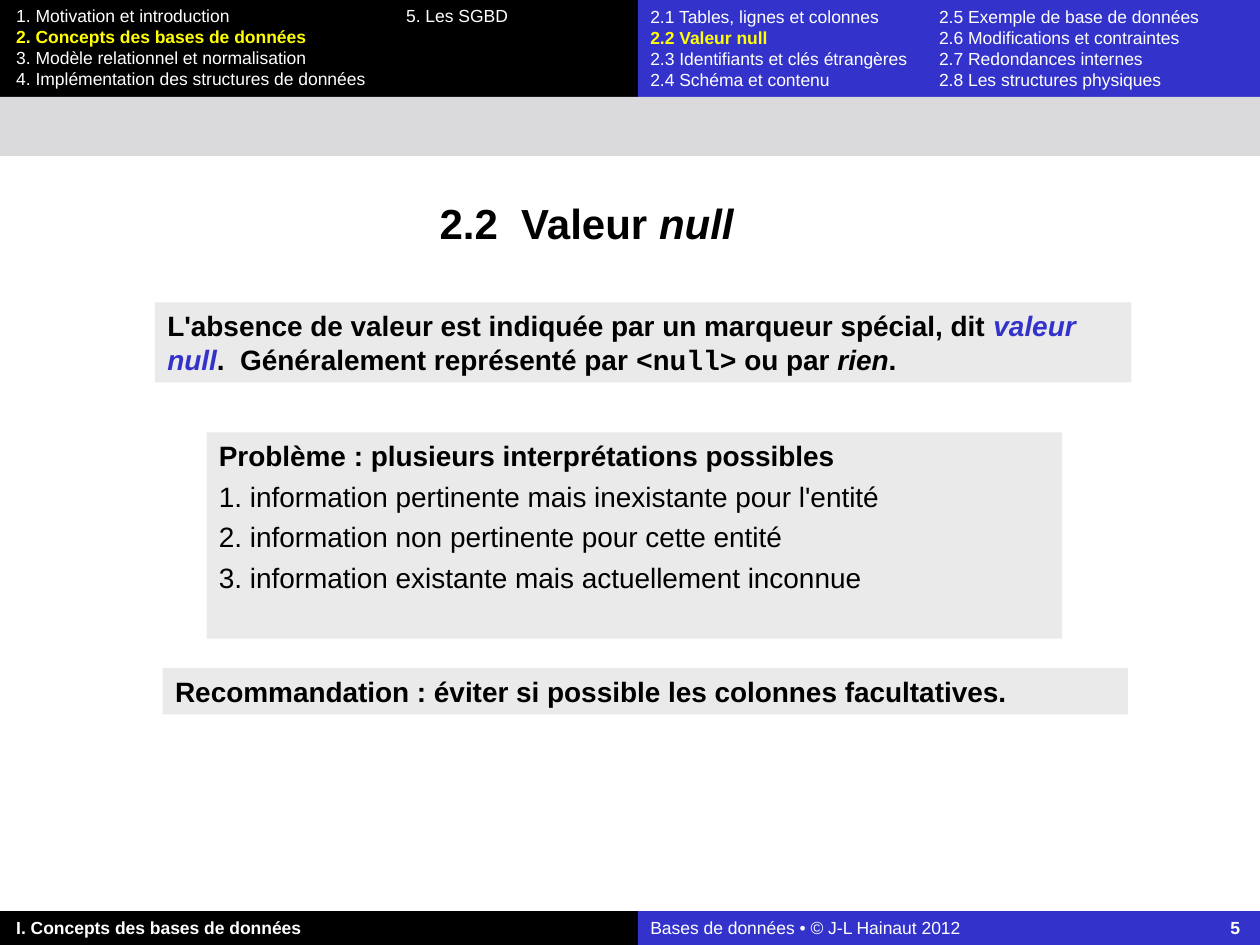
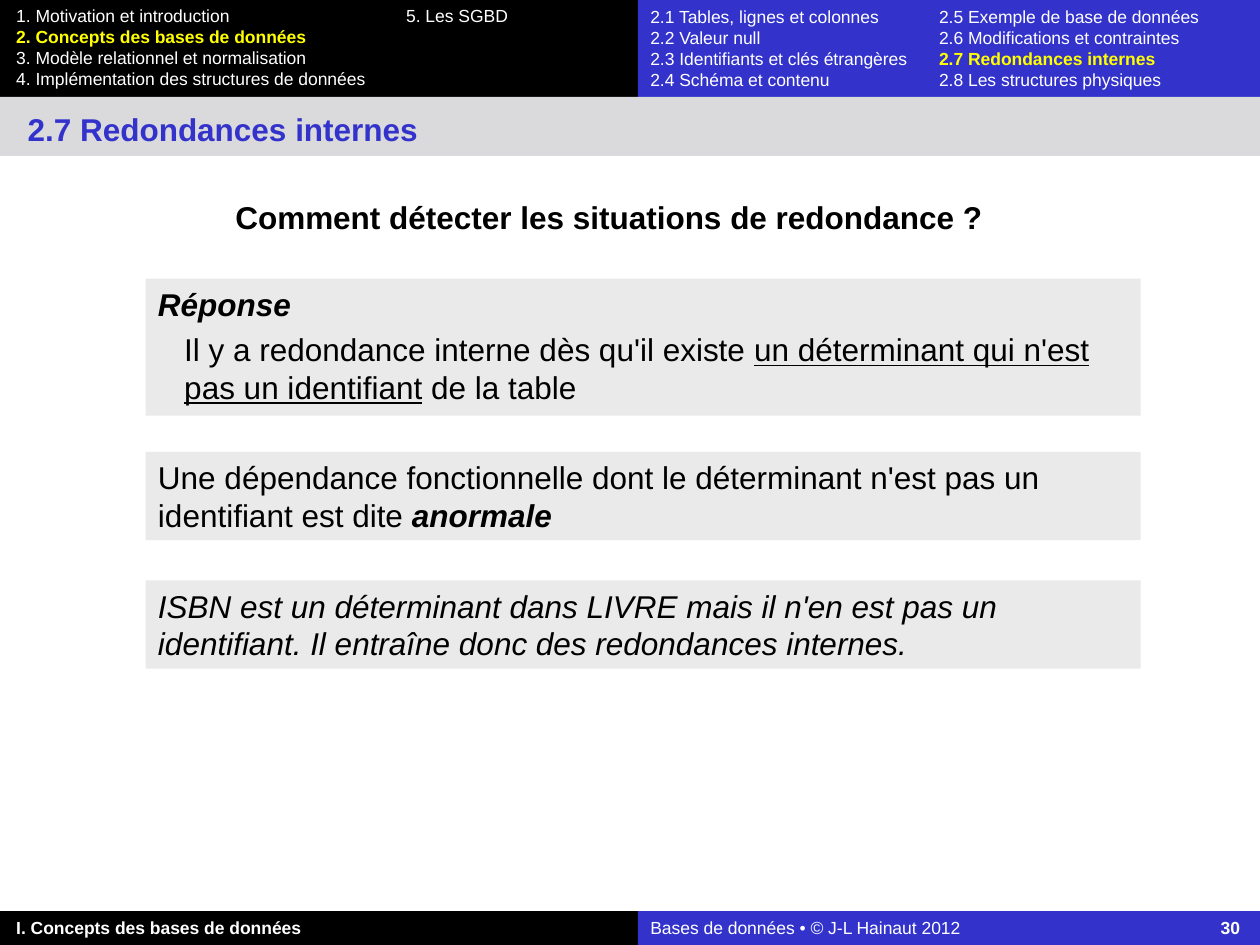
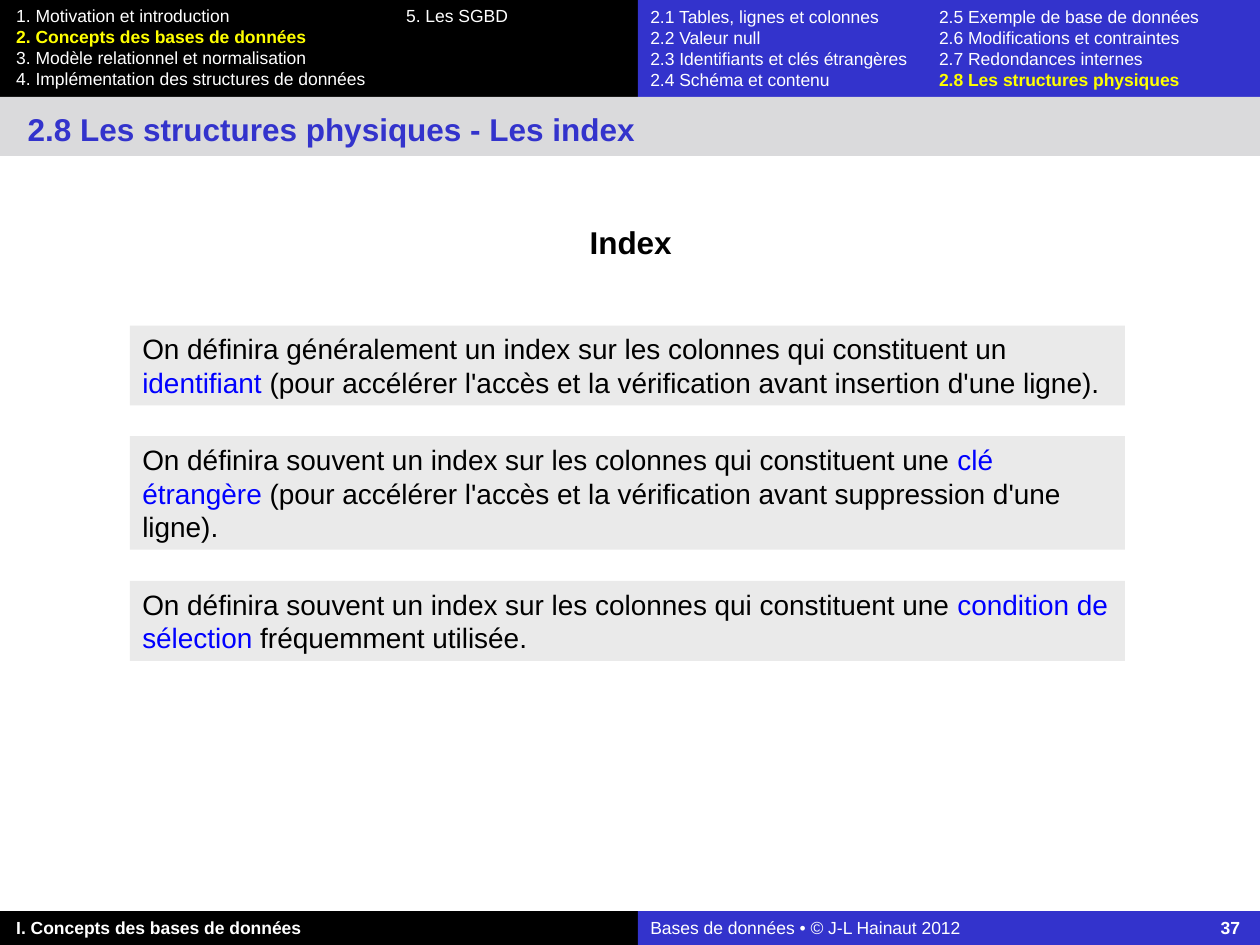
"""Build three slides of a database course with shared navigation bands."""
from itertools import zip_longest

from lxml.etree import SubElement
from pptx import Presentation
from pptx.dml.color import RGBColor
from pptx.enum.shapes import MSO_SHAPE
from pptx.enum.text import MSO_ANCHOR, PP_ALIGN
from pptx.oxml.ns import qn
from pptx.util import Pt

COLORS = {"black": "000000", "blue": "3333CC", "white": "FFFFFF", "yellow": "FFFF00",
          "band": "DADADC", "box": "EAEAEA", "link": "0000FF"}
FONT, MONO = "Arial", "Courier New"
WIDTH, HEIGHT = 720, 540
SPLIT, HEADER, FOOTER = 364.5, 55.4, 19.4
BAND_HEIGHT = 33.8
FOOTER_TOP = HEIGHT - FOOTER
CHAPTER_AREA = (2.2, -0.6, 332, HEADER)
SECTION_AREA = (SPLIT, 0, WIDTH - SPLIT, HEADER)
SECTION_TITLE_AREA = (8.6, 59, 672, 28.8)
CHAPTER_TAB, SECTION_TAB, PAGE_TAB = 222.8, 165, 337

CHAPTERS = ["1. Motivation et introduction", "2. Concepts des bases de données",
            "3. Modèle relationnel et normalisation",
            "4. Implémentation des structures de données", "5. Les SGBD"]
CURRENT_CHAPTER = CHAPTERS[1]
SECTIONS = ["2.1 Tables, lignes et colonnes", "2.2 Valeur null",
            "2.3 Identifiants et clés étrangères", "2.4 Schéma et contenu",
            "2.5 Exemple de base de données", "2.6 Modifications et contraintes",
            "2.7 Redondances internes", "2.8 Les structures physiques"]
COURSE = "Bases de données • © J-L Hainaut 2012"
PART = "I. Concepts des bases de données"

SLIDES = [
    {"page": 5, "section": 1, "size": 16, "heading_size": 24,
     "heading": [("2.2  Valeur ", "b"), ("null", "bi")],
     "heading_area": (244, 109.5, 183.6, 36),
     "boxes": [
         ((88.5, 172.8, 558, 45.8), [
             [("L'absence de valeur est indiquée par un marqueur spécial, dit ", "b"),
              ("valeur null", "bi", "blue"), (".  Généralement représenté par ", "b"),
              ("<null>", "bm"), (" ou par ", "b"), ("rien", "bi"), (".", "b")]]),
         ((118, 247, 489, 118), [
             [("Problème : plusieurs interprétations possibles", "b")],
             [("1. information pertinente mais inexistante pour l'entité", "")],
             [("2. information non pertinente pour cette entité", "")],
             [("3. information existante mais actuellement inconnue", "")]]),
         ((93, 381.7, 551.5, 26.6), [
             [("Recommandation : éviter si possible les colonnes facultatives.", "b")]])]},
    {"page": 30, "section": 6, "size": 18, "heading_size": 18,
     "title": "2.7 Redondances internes",
     "heading": [("Comment détecter les situations de redondance ?", "b")],
     "heading_area": (127.4, 109.5, 470, 28.8),
     "indent": 15,
     "boxes": [
         ((83.2, 159.2, 568.6, 78.4), [
             [("Réponse", "bi")],
             [("Il y a redondance interne dès qu'il existe ", ""),
              ("un déterminant qui n'est pas un identifiant", "u"), (" de la table", "")]]),
         ((83.2, 258.3, 568.6, 50.4), [
             [("Une dépendance fonctionnelle dont le déterminant n'est pas un "
               "identifiant est dite ", ""), ("anormale", "bi")]]),
         ((83.2, 331.7, 568.6, 50.4), [
             [("ISBN est un déterminant dans LIVRE mais il n'en est pas un identifiant. "
               "Il entraîne donc des redondances internes.", "i")]])]},
    {"page": 37, "section": 7, "size": 16, "heading_size": 18,
     "title": "2.8 Les structures physiques - Les index",
     "heading": [("Index", "b")],
     "heading_area": (329.8, 123.8, 66.2, 28.8),
     "boxes": [
         ((74.2, 186, 568.6, 45.6), [
             [("On définira généralement un index sur les colonnes qui constituent un ", ""),
              ("identifiant", "", "link"),
              (" (pour accélérer l'accès et la vérification avant insertion d'une ligne).",
               "")]]),
         ((74.2, 249.3, 568.6, 64.8), [
             [("On définira souvent un index sur les colonnes qui constituent une ", ""),
              ("clé étrangère", "", "link"),
              (" (pour accélérer l'accès et la vérification avant suppression d'une ligne).",
               "")]]),
         ((74.2, 332, 568.6, 45.6), [
             [("On définira souvent un index sur les colonnes qui constituent une ", ""),
              ("condition de sélection", "", "link"), (" fréquemment utilisée.", "")]])]},
]


def rgb(name):
    return RGBColor.from_string(COLORS[name])


def add_panel(slide, area, fill):
    panel = slide.shapes.add_shape(MSO_SHAPE.RECTANGLE, *map(Pt, area))
    panel.shadow.inherit = False
    panel.fill.solid()
    panel.fill.fore_color.rgb = rgb(fill)
    panel.line.fill.background()
    return panel


def add_textbox(slide, area):
    return slide.shapes.add_textbox(*map(Pt, area))


def write(shape, paragraphs, size, color="black", wrap=True, before=0, indent=0, tab=None,
          tab_align="l"):
    frame = shape.text_frame
    frame.word_wrap = wrap
    frame.vertical_anchor = MSO_ANCHOR.TOP
    for index, runs in enumerate(paragraphs):
        paragraph = frame.add_paragraph() if index else frame.paragraphs[0]
        paragraph.alignment = PP_ALIGN.LEFT
        properties = paragraph._p.get_or_add_pPr()
        if index:
            paragraph.space_before = Pt(before)
            properties.set("marL", str(Pt(indent)))
        if tab:
            stops = SubElement(properties, qn("a:tabLst"))
            SubElement(stops, qn("a:tab"), pos=str(Pt(tab)), algn=tab_align)
        for text, style, *accent in runs:
            run = paragraph.add_run()
            run.text = text
            run.font.size = Pt(size)
            run.font.name = MONO if "m" in style else FONT
            run.font.bold = "b" in style
            run.font.italic = "i" in style
            run.font.underline = "u" in style
            run.font.color.rgb = rgb(accent[0] if accent else color)


def menu_rows(entries, current):
    rows = []
    for left, right in zip_longest(entries[:4], entries[4:]):
        row = []
        for entry, gap in ((left, ""), (right, "\t")):
            if entry:
                marks = ("b", "yellow") if entry == current else ("",)
                row.append((gap + entry, *marks))
        rows.append(row)
    return rows


def add_frame(slide, content):
    for top, height in ((0, HEADER), (FOOTER_TOP, FOOTER)):
        add_panel(slide, (0, top, SPLIT + 0.5, height), "black")
        credit = add_panel(slide, (SPLIT, top, WIDTH - SPLIT, height), "blue")
    write(credit, [[(COURSE, ""), (f"\t{content['page']}", "b")]], 10, "white",
          tab=PAGE_TAB, tab_align="r")
    part = add_panel(slide, (2.2, FOOTER_TOP, 332, FOOTER), "black")
    write(part, [[(PART, "b")]], 10, "white")
    write(add_textbox(slide, CHAPTER_AREA), menu_rows(CHAPTERS, CURRENT_CHAPTER),
          10, "white", tab=CHAPTER_TAB)
    write(add_textbox(slide, SECTION_AREA),
          menu_rows(SECTIONS, SECTIONS[content["section"]]), 10, "white", tab=SECTION_TAB)
    return add_panel(slide, (0, HEADER, WIDTH, BAND_HEIGHT), "band")


def place_title(slide, band, area):
    title = slide.shapes.title
    title.left, title.top, title.width, title.height = map(Pt, area)
    band._element.addnext(title._element)
    return title


def build_slide(deck, content):
    slide = deck.slides.add_slide(deck.slide_layouts[5])
    band = add_frame(slide, content)
    if "title" in content:
        title = place_title(slide, band, SECTION_TITLE_AREA)
        write(title, [[(content["title"], "b")]], 18, "blue")
        heading = add_textbox(slide, content["heading_area"])
    else:
        heading = place_title(slide, band, content["heading_area"])
    write(heading, [content["heading"]], content["heading_size"], wrap=False)
    size = content["size"]
    for area, paragraphs in content["boxes"]:
        write(add_panel(slide, area, "box"), paragraphs, size,
              before=size * 0.25, indent=content.get("indent", 0))


def main():
    deck = Presentation()
    deck.slide_width, deck.slide_height = Pt(WIDTH), Pt(HEIGHT)
    for content in SLIDES:
        build_slide(deck, content)
    deck.save("out.pptx")


if __name__ == "__main__":
    main()
